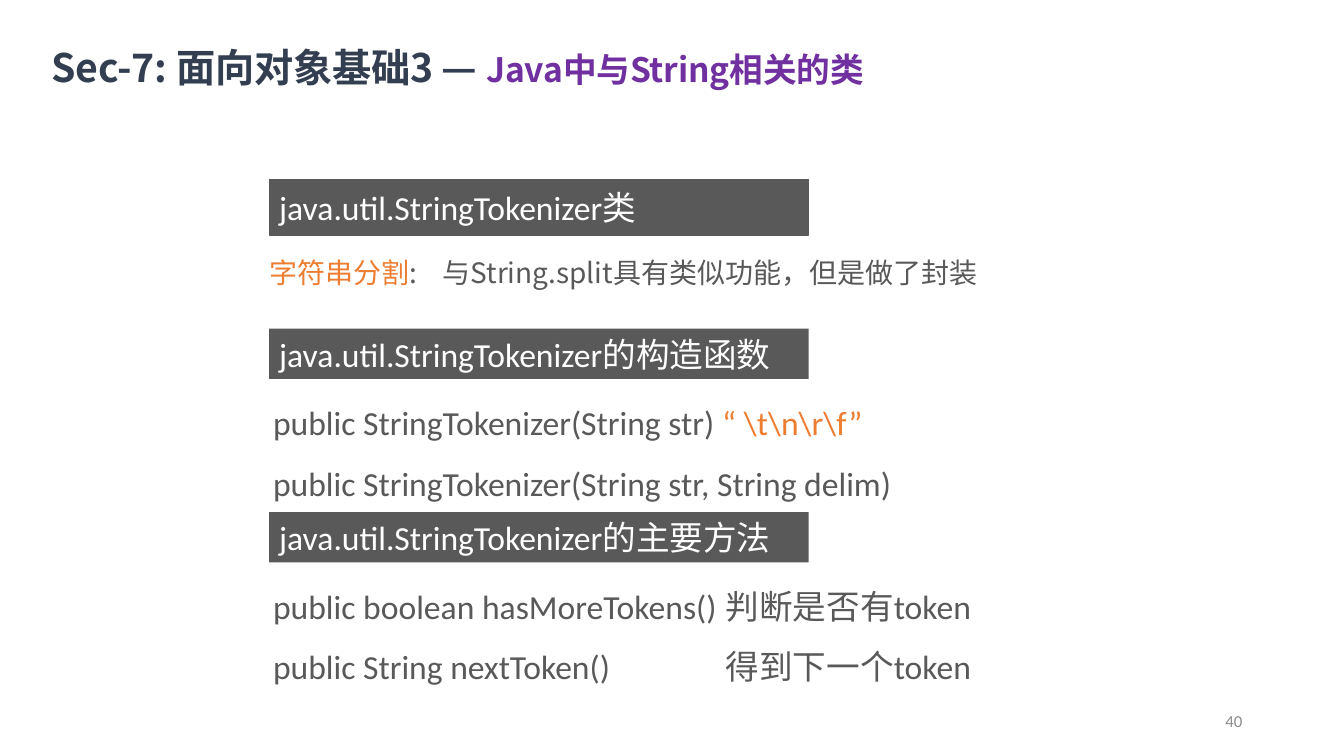
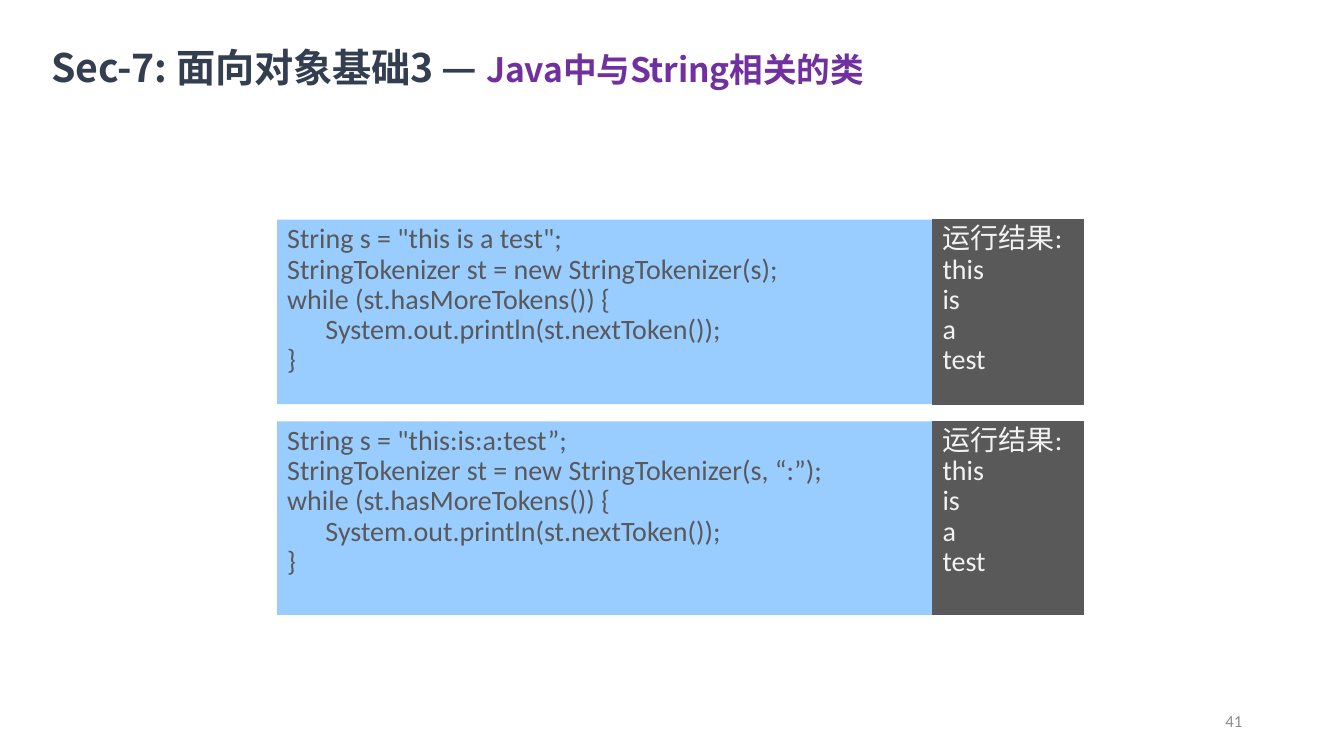
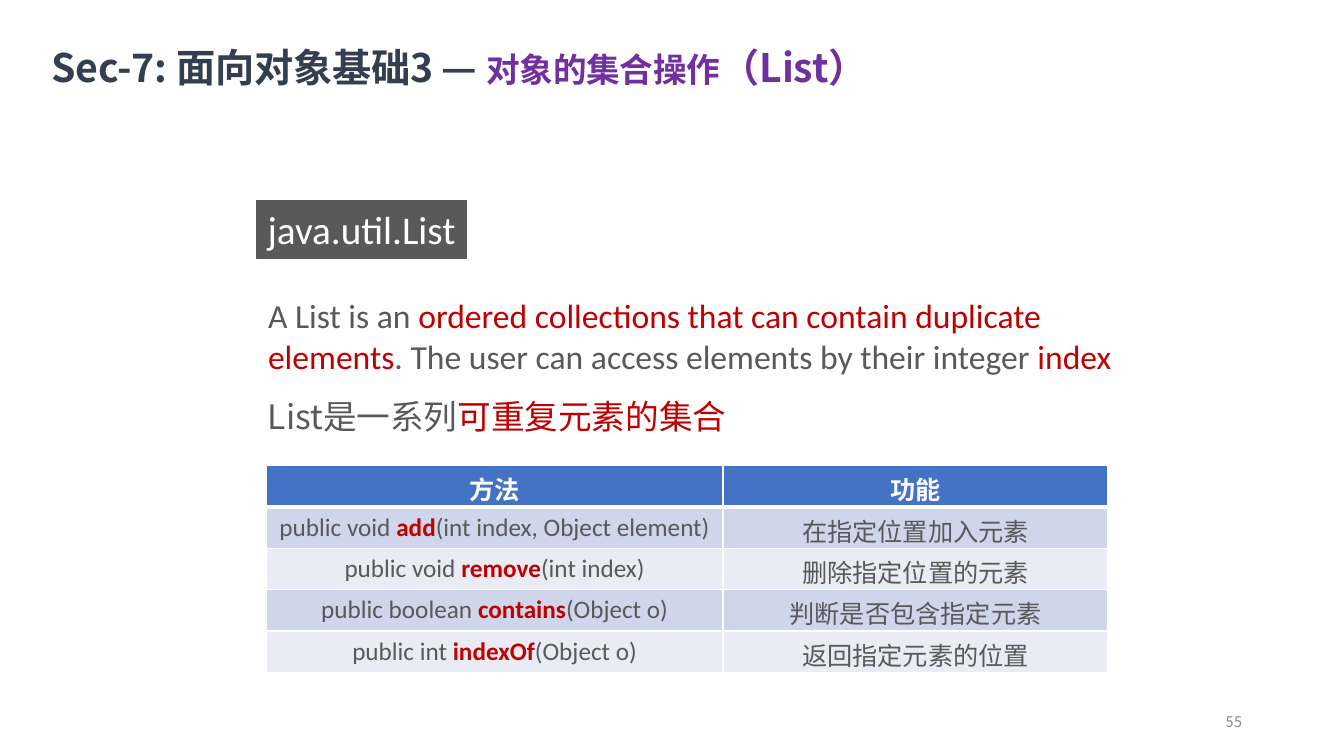
from dataclasses import dataclass

from lxml import etree
from pptx import Presentation
from pptx import util as u
from pptx.dml import color
from pptx.enum import shapes, text
from pptx.oxml import ns


@dataclass(frozen=True)
class Theme:
    latin: str = "Calibri"
    asian: str = "Noto Sans CJK SC"
    white: str = "FFFFFF"
    pale: str = "F2F2F2"
    gray: str = "595959"
    muted: str = "8C8C8C"
    navy: str = "333F50"
    purple: str = "7030A0"
    orange: str = "ED7D31"
    red: str = "C00000"
    code: str = "99CCFF"
    header: str = "4472C4"
    bands: tuple = ("CFD5EA", "E9EBF5")
    title: int = 28
    heading: int = 24
    body: int = 20
    cell: int = 18
    footer: int = 12


THEME = Theme()
LEFT, CENTER, RIGHT = text.PP_ALIGN.LEFT, text.PP_ALIGN.CENTER, text.PP_ALIGN.RIGHT
TOP, MIDDLE = text.MSO_ANCHOR.TOP, text.MSO_ANCHOR.MIDDLE


def rgb(value):
    return color.RGBColor.from_string(value)


def add_child(parent, tag, **attributes):
    return etree.SubElement(parent, ns.qn(tag), attributes)


class Slides:
    def __init__(self, theme):
        self.theme = theme
        self.deck = Presentation()
        self.deck.slide_width = u.Inches(13.33)
        self.deck.slide_height = u.Inches(7.5)
        self.page = None

    def new_page(self, number, *topic):
        t = self.theme
        self.page = self.deck.slides.add_slide(self.deck.slide_layouts[6])
        self.text_box((9.42, 6.95, 3, 0.4), [[(str(number), t.muted)]],
                      size=t.footer, align=RIGHT, anchor=MIDDLE)
        box = self.text_box((0.5, 0.42, 10.66, 0.48), [[]])
        frame = box.text_frame
        frame.margin_left = frame.margin_top = u.Inches(0.01)
        frame.margin_right = frame.margin_bottom = 0
        para = frame.paragraphs[0]
        para.space_before = u.Pt(0.9)
        for words, ink, size in (("Sec-7: 面向对象基础3 — ", t.navy, t.title), *topic):
            span = self.add_span(para, words, ink, size, t.asian, True)
            span._r.get_or_add_rPr().set("spc", "-10")

    def add_span(self, para, words, ink, size, font=None, bold=False):
        span = para.add_run()
        span.text = words
        span.font.name = font or self.theme.latin
        span.font.size = u.Pt(size)
        span.font.bold = bold
        span.font.color.rgb = rgb(ink)
        add_child(span._r.get_or_add_rPr(), "a:ea", typeface=self.theme.asian)
        return span

    def add_lines(self, frame, lines, size, font=None, align=LEFT, anchor=TOP,
                  spacing=None, tab=None, hanging=None):
        frame.word_wrap = True
        frame.vertical_anchor = anchor
        for index, line in enumerate(lines):
            para = frame.add_paragraph() if index else frame.paragraphs[0]
            para.alignment = align
            if spacing:
                para.line_spacing = spacing
            props = para._p.get_or_add_pPr()
            if hanging:
                props.set("marL", str(u.Inches(hanging)))
                props.set("indent", str(-u.Inches(hanging)))
            if tab:
                stops = add_child(props, "a:tabLst")
                add_child(stops, "a:tab", pos=str(u.Inches(tab)), algn="l")
            for words, ink in line:
                self.add_span(para, words, ink, size, font)

    def text_box(self, at, lines, size=THEME.heading, **style):
        box = self.page.shapes.add_textbox(*map(u.Inches, at))
        self.add_lines(box.text_frame, lines, size, **style)
        return box

    def panel(self, at, lines, fill, size, outline=None, **style):
        box = self.page.shapes.add_shape(shapes.MSO_SHAPE.RECTANGLE, *map(u.Inches, at))
        box.shadow.inherit = False
        box.fill.solid()
        box.fill.fore_color.rgb = rgb(fill)
        if outline:
            box.line.color.rgb = rgb(fill)
            box.line.width = u.Pt(outline)
        else:
            box.line.fill.background()
        self.add_lines(box.text_frame, lines, size, **style)
        return box

    def label(self, at, words, size=THEME.heading, **style):
        return self.panel(at, [[(words, self.theme.white)]], self.theme.gray, size, **style)

    def listing(self, at, lines, fill, ink, outline=None):
        self.panel(at, [[(line, ink)] for line in lines], fill, self.theme.body,
                   outline=outline, spacing=0.9, hanging=0.38)

    def style_cell(self, cell, fill, top, bottom):
        cell.fill.solid()
        cell.fill.fore_color.rgb = rgb(fill)
        props = cell._tc.get_or_add_tcPr()
        for index, (side, width) in enumerate(zip("LRTB", (1, 1, top, bottom))):
            line = add_child(props, f"a:ln{side}", w=str(u.Pt(width)))
            paint = add_child(line, "a:solidFill")
            add_child(paint, "a:srgbClr", val=self.theme.white)
            props.insert(index, line)

    def method_table(self, left, top, widths, row_height, header, rows):
        t = self.theme
        count = len(rows) + 1
        frame = self.page.shapes.add_table(
            count, len(widths), u.Inches(left), u.Inches(top),
            u.Inches(sum(widths)), u.Inches(row_height * count))
        table = frame.table
        for column, width in zip(table.columns, widths):
            column.width = u.Inches(width)
        for row in table.rows:
            row.height = u.Inches(row_height)
        heads = [[(words, t.white, True)] for words in header]
        body = [[[(before, t.gray, False), (name, t.red, True), (after, t.gray, False)],
                 [(use, t.gray, False)]] for before, name, after, use in rows]
        for r, cells in enumerate([heads, *body]):
            fill = t.bands[(r - 1) % 2] if r else t.header
            for c, spans in enumerate(cells):
                cell = table.cell(r, c)
                self.style_cell(cell, fill, 3 if r == 1 else 1, 1 if r else 3)
                para = cell.text_frame.paragraphs[0]
                para.alignment = CENTER
                for words, ink, bold in spans:
                    self.add_span(para, words, ink, t.cell, bold=bold)


def tokenizer_page(slides):
    t = slides.theme
    slides.new_page(40, ("Java中与String相关的类", t.purple, t.heading))
    slides.text_box((2.57, 2.49, 7.48, 0.44),
                    [[("字符串分割", t.orange),
                      (":\t与String.split具有类似功能，但是做了封装", t.gray)]],
                    size=t.body, font=t.asian, tab=1.72)
    slides.label((2.67, 1.78, 5.35, 0.55), "java.util.StringTokenizer类",
                 outline=1, anchor=MIDDLE)
    sections = (
        (3.26, "的构造函数", [
            [("public StringTokenizer(String str) ", t.gray), (r"“ \t\n\r\f”", t.orange)],
            [("public StringTokenizer(String str, String delim)", t.gray)]]),
        (5.08, "的主要方法", [
            [("public boolean hasMoreTokens()\t判断是否有token", t.gray)],
            [("public String nextToken()\t得到下一个token", t.gray)]]),
    )
    for top, topic, lines in sections:
        slides.text_box((2.61, top + 0.48, 7.92, 1.25), lines, spacing=1.5, tab=4.49)
        slides.label((2.67, top, 5.35, 0.5), "java.util.StringTokenizer" + topic)


def example_page(slides):
    t = slides.theme
    slides.new_page(41, ("Java中与String相关的类", t.purple, t.heading))
    loop = ["while (st.hasMoreTokens()) {", "\tSystem.out.println(st.nextToken());", "}"]
    result = ["运行结果:", "this", "is", "a", "test"]
    examples = (
        (2.18, 1.83, ['String s = "this is a test";',
                      "StringTokenizer st = new StringTokenizer(s);"]),
        (4.18, 1.92, ['String s = "this:is:a:test”;',
                      "StringTokenizer st = new StringTokenizer(s, “:”);"]),
    )
    for top, height, setup in examples:
        slides.listing((2.75, top, 6.5, height), setup + loop, t.code, t.gray)
        slides.listing((9.25, top, 1.5, height), result, t.gray, t.pale, outline=0.75)


def list_page(slides):
    t = slides.theme
    slides.new_page(55, ("对象的集合操作", t.purple, t.heading), ("（List）", t.purple, t.title))
    name = slides.label((2.54, 1.99, 2.09, 0.57), "java.util.List", size=t.title,
                        outline=0.75, align=CENTER)
    name.text_frame.word_wrap = False
    slides.text_box((2.56, 3.88, 7.34, 0.5),
                    [[("List是一系列", t.gray), ("可重复元素的集合", t.red)]], font=t.asian)
    slides.text_box((2.56, 2.88, 8.99, 0.91), [[
        ("A List is an ", t.gray),
        ("ordered collections that can contain duplicate elements", t.red),
        (". The user can access elements by their integer ", t.gray),
        ("index", t.red)]])
    slides.method_table(2.64, 4.62, (4.53, 3.82), 0.41, ("方法", "功能"), (
        ("public void ", "add", "(int index, Object element)", "在指定位置加入元素"),
        ("public void ", "remove", "(int index)", "删除指定位置的元素"),
        ("public boolean ", "contains", "(Object o)", "判断是否包含指定元素"),
        ("public int ", "indexOf", "(Object o)", "返回指定元素的位置"),
    ))


def main():
    slides = Slides(THEME)
    tokenizer_page(slides)
    example_page(slides)
    list_page(slides)
    slides.deck.save("out.pptx")


if __name__ == "__main__":
    main()
